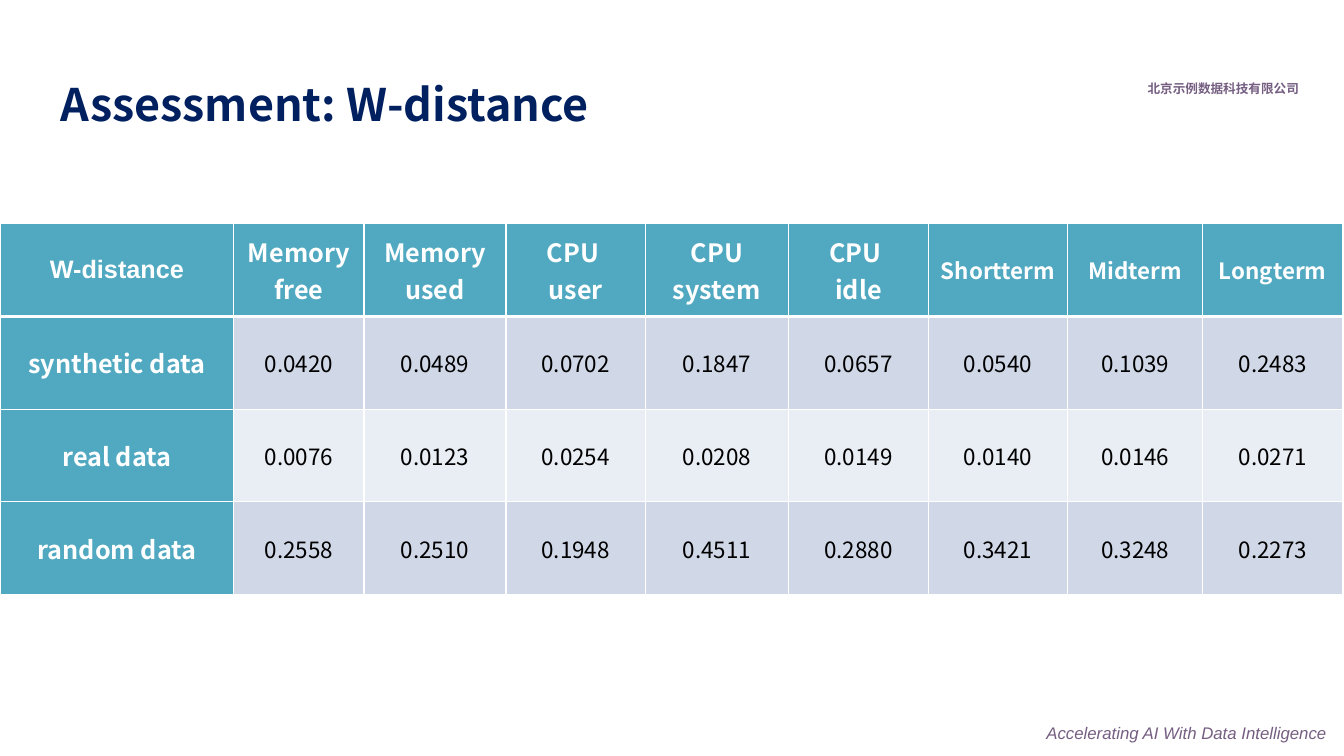
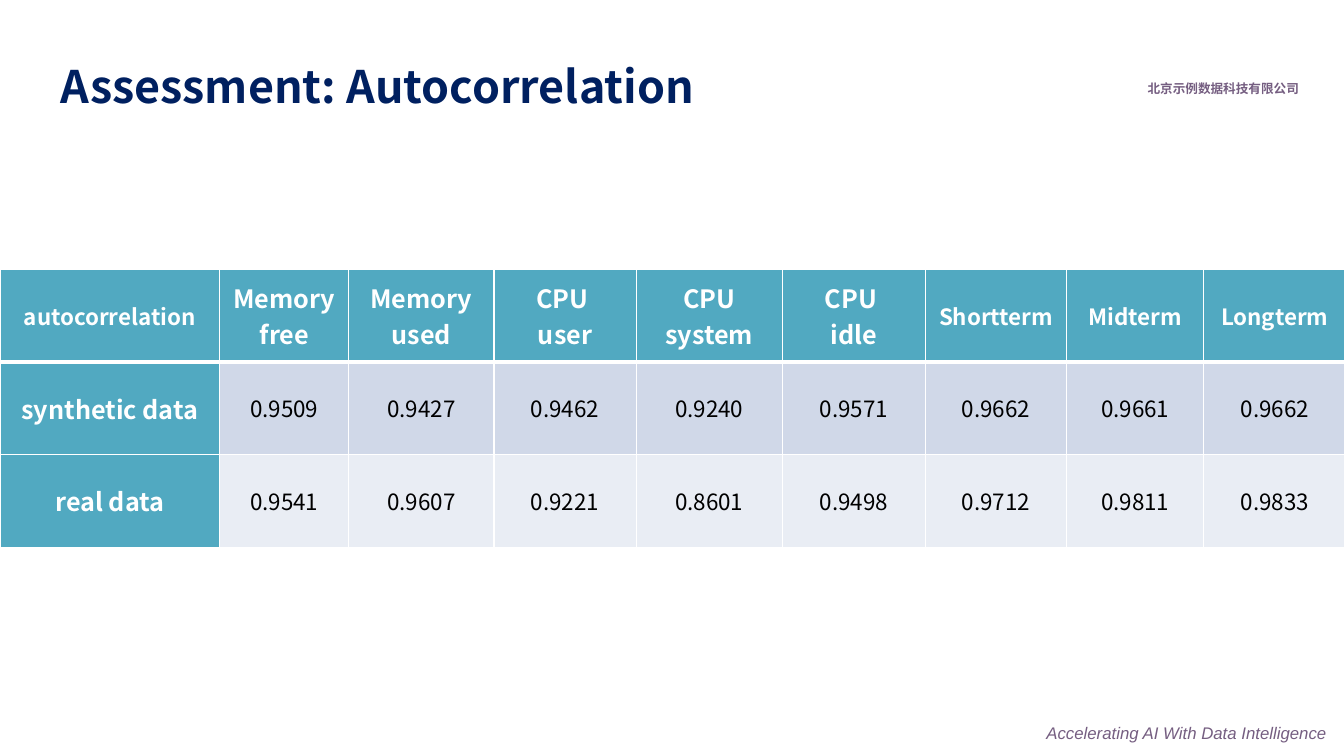
import pptx
import pptx.util
import pptx.dml.color
import pptx.enum.text
import pptx.oxml
import pptx.oxml.ns

Inches, Pt = pptx.util.Inches, pptx.util.Pt
ALIGN = pptx.enum.text.PP_ALIGN
MIDDLE = pptx.enum.text.MSO_ANCHOR.MIDDLE
TOP = pptx.enum.text.MSO_ANCHOR.TOP

COLORS = {"title": "002060", "brand": "755E81", "head": "51A9C1", "white": "FFFFFF",
          "black": "000000", "odd_row": "D0D8E8", "even_row": "E9EDF4"}
SANS, CJK = "Arial", "Noto Sans CJK SC"
ROW_HEIGHT = 0.92
METRICS = ["Memory free", "Memory used", "CPU \nuser", "CPU system", "CPU \nidle",
           "Shortterm", "Midterm", "Longterm"]
SMALL_HEADS = {"autocorrelation", "Shortterm", "Midterm", "Longterm"}

# text, left, top, width, height, anchor, alignment, size, bold, italic
LABELS = [
    ("北京示例数据科技有限公司", 11.25, 0.66, 1.73, 0.44, MIDDLE, ALIGN.RIGHT, 9, True, False),
    ("Accelerating AI With Data Intelligence", 10.28, 7.12, 3.05, 0.31, TOP, ALIGN.LEFT,
     12, False, True),
]

SLIDES = [
    {"title": "Assessment: W-distance", "title_top": 0.58, "table_top": 2.22,
     "corner": "W-distance", "corner_font": SANS,
     "columns": [2.32, 1.29, 1.41, 1.38, 1.42, 1.39, 1.38, 1.34, 1.39],
     "rows": [
         ("synthetic data", "0.0420 0.0489 0.0702 0.1847 0.0657 0.0540 0.1039 0.2483"),
         ("real data", "0.0076 0.0123 0.0254 0.0208 0.0149 0.0140 0.0146 0.0271"),
         ("random data", "0.2558 0.2510 0.1948 0.4511 0.2880 0.3421 0.3248 0.2273")]},
    {"title": "Assessment: Autocorrelation", "title_top": 0.4, "table_top": 2.67,
     "corner": "autocorrelation", "corner_font": CJK,
     "columns": [2.18, 1.28, 1.44, 1.41, 1.45, 1.42, 1.4, 1.36, 1.41],
     "rows": [
         ("synthetic data", "0.9509 0.9427 0.9462 0.9240 0.9571 0.9662 0.9661 0.9662"),
         ("real data", "0.9541 0.9607 0.9221 0.8601 0.9498 0.9712 0.9811 0.9833")]},
]


def write_text(frame, text, font, size, color, align, bold=False, italic=False, anchor=MIDDLE):
    frame.text = text
    frame.word_wrap = True
    frame.vertical_anchor = anchor
    for para in frame.paragraphs:
        para.alignment = align
        for span in para.runs:
            span.font.name = font
            span.font.size = Pt(size)
            span.font.bold = bold
            span.font.italic = italic
            span.font.color.rgb = pptx.dml.color.RGBColor.from_string(COLORS[color])


def style_cell(cell, fill, top, bottom):
    """Fill the cell and give it white borders, 1 pt at the sides."""
    cell.fill.solid()
    cell.fill.fore_color.rgb = pptx.dml.color.RGBColor.from_string(COLORS[fill])
    properties = cell._tc.get_or_add_tcPr()
    borders = [("lnL", 1), ("lnR", 1), ("lnT", top), ("lnB", bottom)]
    for position, (side, width) in enumerate(borders):
        properties.insert(position, pptx.oxml.parse_xml(
            f'<a:{side} {pptx.oxml.ns.nsdecls("a")} w="{Pt(width)}"><a:solidFill>'
            f'<a:srgbClr val="{COLORS["white"]}"/></a:solidFill></a:{side}>'))


deck = pptx.Presentation()
deck.slide_width, deck.slide_height = Inches(13.33), Inches(7.5)

for content in SLIDES:
    page = deck.slides.add_slide(deck.slide_layouts.get_by_name("Title Only"))

    for text, left, top, width, height, anchor, align, size, bold, italic in LABELS:
        box = page.shapes.add_textbox(Inches(left), Inches(top), Inches(width), Inches(height))
        write_text(box.text_frame, text, SANS, size, "brand", align, bold, italic, anchor)

    title = page.shapes.title
    title.left, title.top = Inches(0.5), Inches(content["title_top"])
    title.width, title.height = Inches(12.32), Inches(0.97)
    write_text(title.text_frame, content["title"], CJK, 32, "title", ALIGN.LEFT, bold=True)
    title.text_frame.paragraphs[0].line_spacing = 0.9

    grid = [[content["corner"], *METRICS]]
    grid += [[name, *values.split()] for name, values in content["rows"]]
    table = page.shapes.add_table(
        len(grid), len(grid[0]), Inches(0), Inches(content["table_top"]),
        Inches(13.33), Inches(ROW_HEIGHT * len(grid))).table
    for column, width in zip(table.columns, content["columns"]):
        column.width = Inches(width)

    for row_index, texts in enumerate(grid):
        table.rows[row_index].height = Inches(ROW_HEIGHT)
        for column_index, text in enumerate(texts):
            cell = table.cell(row_index, column_index)
            is_head = row_index == 0 or column_index == 0
            is_corner = row_index == 0 and column_index == 0
            if is_head:
                fill = "head"
            else:
                fill = "odd_row" if row_index % 2 else "even_row"
            write_text(cell.text_frame, text,
                       content["corner_font"] if is_corner else CJK,
                       18 if is_head and text not in SMALL_HEADS else 16,
                       "white" if is_head else "black", ALIGN.CENTER, bold=is_head)
            cell.vertical_anchor = MIDDLE
            style_cell(cell, fill, top=3 if row_index == 1 else 1,
                       bottom=3 if row_index == 0 else 1)

deck.save("out.pptx")
